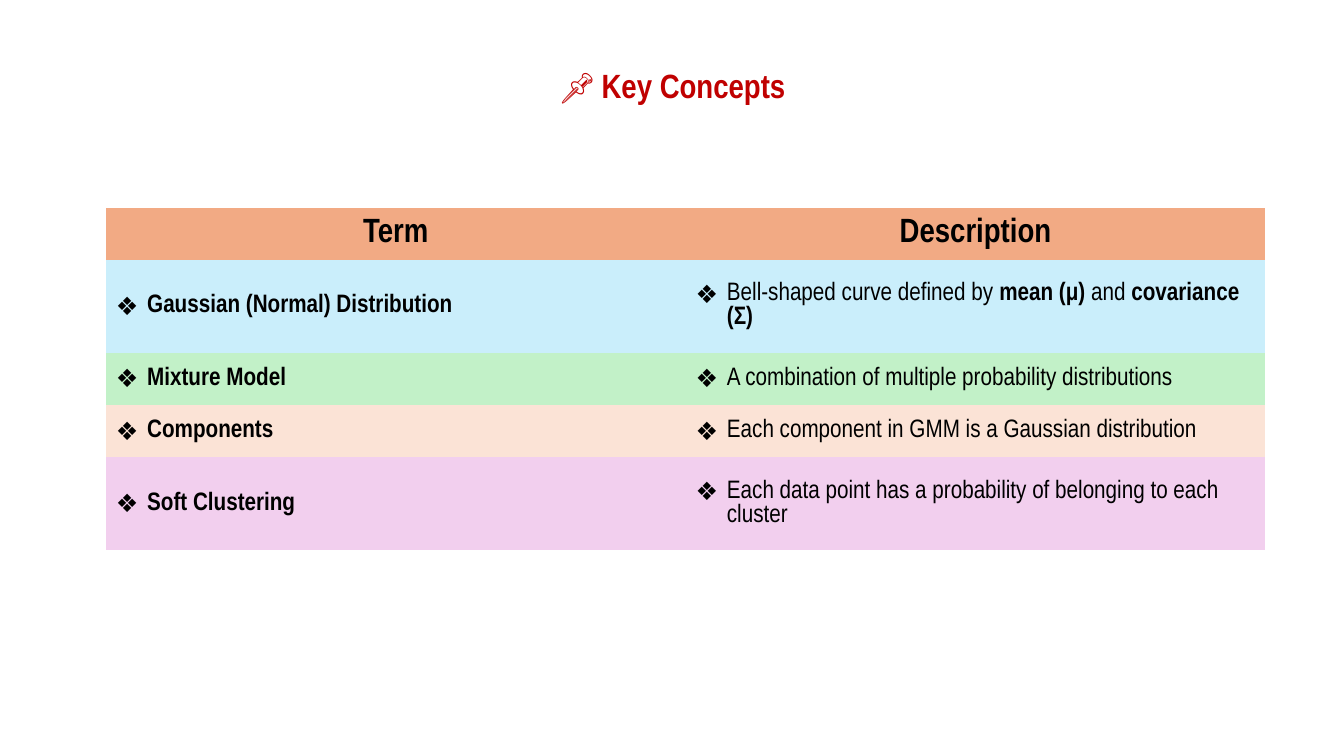
from pptx import Presentation
from pptx.dml.color import RGBColor
from pptx.enum.text import MSO_ANCHOR, MSO_AUTO_SIZE, PP_ALIGN
from pptx.oxml.ns import qn
from pptx.util import Inches, Pt
from lxml.etree import SubElement

FONT = "Arial Narrow"
TITLE = "📌 Key Concepts"
HEADER_FILL = "F2AA84"
HEADERS = ["Term", "Description"]
CONCEPTS = [
    ("CAEEFB", 0.92, "Gaussian (Normal) Distribution",
     [("Bell-shaped curve defined by ", False), ("mean (μ)", True),
      (" and ", False), ("covariance (Σ)", True)]),
    ("C2F1C8", 0.52, "Mixture Model",
     [("A combination of multiple probability distributions", False)]),
    ("FBE3D6", 0.52, "Components",
     [("Each component in GMM is a Gaussian distribution", False)]),
    ("F2CFEE", 0.92, "Soft Clustering",
     [("Each data point has a probability of belonging to each cluster", False)]),
]
HEADER_HEIGHT = 0.52
COLUMN_WIDTH = 5.75
BULLET_INDENT = Inches(0.31)


def color(value):
    return RGBColor.from_string(value)


def add_runs(paragraph, runs, size, text_color="000000"):
    for text, bold in runs:
        run = paragraph.add_run()
        run.text = text
        run.font.name = FONT
        run.font.size = Pt(size)
        run.font.bold = bold
        run.font.color.rgb = color(text_color)


def add_bullet(paragraph):
    properties = paragraph._p.get_or_add_pPr()
    properties.set("marL", str(BULLET_INDENT))
    properties.set("indent", str(-BULLET_INDENT))
    SubElement(properties, qn("a:buFont"), typeface="Arial")
    SubElement(properties, qn("a:buChar"), char="❖")


def prepare_cell(cell, fill):
    cell.fill.solid()
    cell.fill.fore_color.rgb = color(fill)
    cell.vertical_anchor = MSO_ANCHOR.MIDDLE
    return cell.text_frame.paragraphs[0]


def add_title(slide):
    title = slide.shapes.title
    title.left, title.top = Inches(5.03), Inches(0.59)
    title.width, title.height = Inches(3.29), Inches(0.5)
    frame = title.text_frame
    frame.word_wrap = True
    frame.auto_size = MSO_AUTO_SIZE.SHAPE_TO_FIT_TEXT
    frame.vertical_anchor = MSO_ANCHOR.TOP
    paragraph = frame.paragraphs[0]
    paragraph.alignment = PP_ALIGN.CENTER
    add_runs(paragraph, [(TITLE, True)], 24, "C00000")


def add_concept_table(slide):
    heights = [HEADER_HEIGHT] + [height for _, height, _, _ in CONCEPTS]
    table = slide.shapes.add_table(
        len(heights), len(HEADERS), Inches(1.05), Inches(2.06),
        Inches(COLUMN_WIDTH * len(HEADERS)), Inches(sum(heights))).table
    table.horz_banding = False
    style = table._tbl.tblPr.find(qn("a:tableStyleId"))
    style.text = "{2D5ABB26-0587-4C30-8999-92F81FD0307C}"
    for row, height in zip(table.rows, heights):
        row.height = Inches(height)

    for column, header in enumerate(HEADERS):
        paragraph = prepare_cell(table.cell(0, column), HEADER_FILL)
        paragraph.alignment = PP_ALIGN.CENTER
        add_runs(paragraph, [(header, True)], 24)

    for row, (fill, _, term, description) in enumerate(CONCEPTS, 1):
        for column, runs in enumerate([[(term, True)], description]):
            paragraph = prepare_cell(table.cell(row, column), fill)
            add_bullet(paragraph)
            add_runs(paragraph, runs, 18)


def main():
    presentation = Presentation()
    presentation.slide_width = Inches(13.33)
    presentation.slide_height = Inches(7.5)
    slide = presentation.slides.add_slide(presentation.slide_layouts[5])
    add_concept_table(slide)
    add_title(slide)
    presentation.save("out.pptx")


if __name__ == "__main__":
    main()
